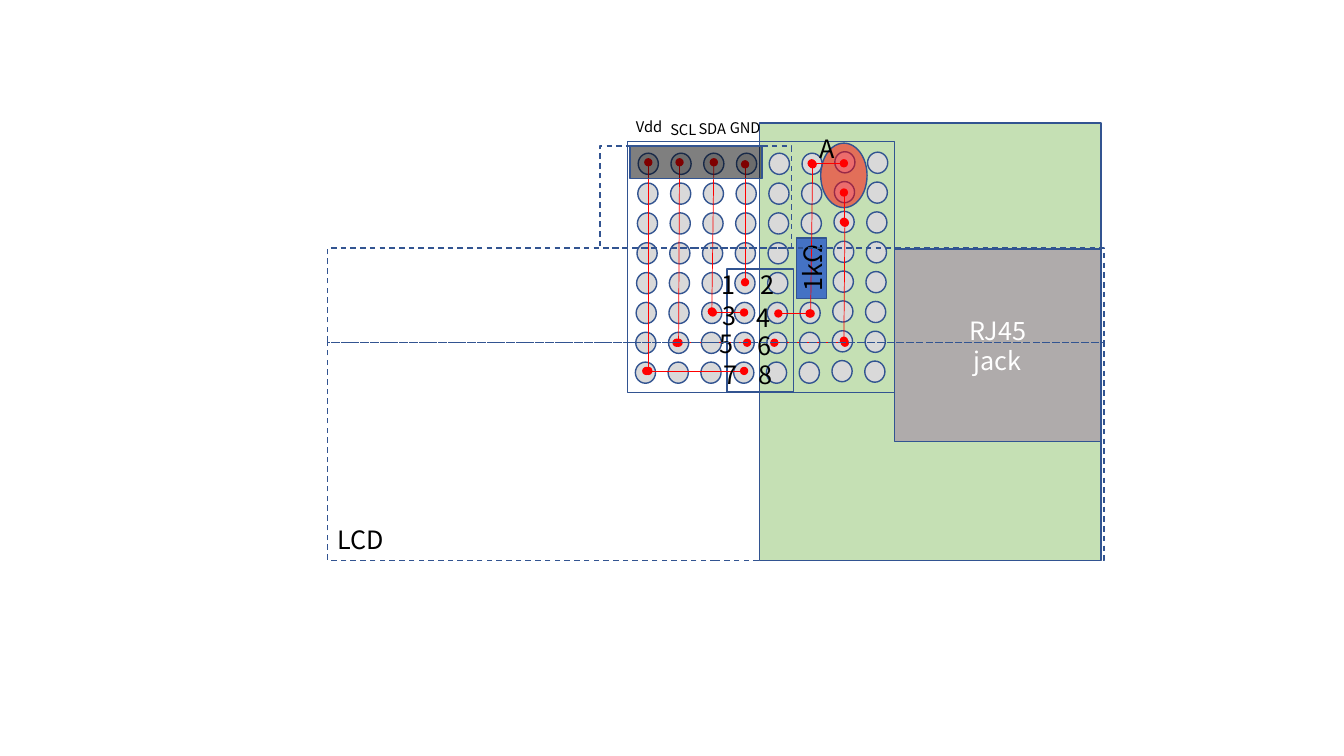
from pptx import Presentation
from pptx.dml.color import RGBColor
from pptx.enum.dml import MSO_LINE
from pptx.enum.shapes import MSO_CONNECTOR, MSO_SHAPE
from pptx.enum.text import MSO_ANCHOR, MSO_AUTO_SIZE, PP_ALIGN
from pptx.oxml.ns import qn
from pptx.util import Inches, Pt
from lxml import etree

RECT, OVAL = MSO_SHAPE.RECTANGLE, MSO_SHAPE.OVAL
STRAIGHT, DASH = MSO_CONNECTOR.STRAIGHT, MSO_LINE.DASH
FIT, MIDDLE, CENTER = MSO_AUTO_SIZE.SHAPE_TO_FIT_TEXT, MSO_ANCHOR.MIDDLE, PP_ALIGN.CENTER

# Content: boxes are left, top, width, height; wires are x, y to x, y
FONT = "Noto Sans CJK JP"
NAVY, RED, BLACK, WHITE = "325491", "FF0000", "000000", "FFFFFF"
GREEN, BLUE, JACK_GREY, HOLE_GREY = "C5E0B4", "4472C4", "AFABAB", "D9D9D9"

MODULE_BOARD = (7.53, 1.22, 3.39, 4.34)
HOLE_BOARD = (6.22, 1.4, 2.65, 2.49)
PIN_SOCKET = (7.21, 2.67, 0.66, 1.22)
RESISTOR = (7.9, 2.36, 0.3, 0.6)
JUMPER = (8.14, 1.42, 0.46, 0.64)
RJ45_JACK = (8.87, 2.47, 2.05, 1.91)
PIN_HEADER = (6.25, 1.45, 1.31, 0.32)
LCD_PARTS = [(3.25, 3.4, 7.7, 2.16), (3.25, 2.46, 7.7, 0.94), (5.95, 1.45, 1.9, 1.01)]

HOLE_START, HOLE_PITCH, HOLE_SIZE = (6.33, 1.52), (0.325, 0.296), (0.2, 0.21)
ROW_SHIFT = -0.004
COLUMN_LIFT = {6: 0.015, 7: 0.01}
ROWS = COLUMNS = 8
COVERED_HOLES = {(3, 5), (4, 5)}

SIGNAL_WIRES = [
    (7.39, 2.8, 7.39, 1.63), (7.06, 3.09, 7.08, 1.61), (6.73, 3.4, 6.74, 1.61),
    (6.43, 3.68, 6.43, 1.61), (6.41, 3.68, 7.38, 3.68), (6.71, 3.4, 7.41, 3.4),
    (7.07, 3.1, 7.38, 3.1), (7.72, 3.11, 8.03, 3.11), (7.68, 3.4, 8.38, 3.4),
    (8.37, 3.38, 8.38, 2.21),
]
RESISTOR_WIRE = (8.04, 3.11, 8.06, 1.63)
JUMPER_WIRES = [(8.05, 1.62, 8.37, 1.62), (8.37, 1.91, 8.37, 2.2)]

SIGNAL_NAMES = [("GND", 7.14, 1.13), ("SDA", 6.83, 1.14), ("SCL", 6.55, 1.15), ("Vdd", 6.21, 1.12)]
PIN_NUMBERS = [
    ("8", (7.44, 3.52, 0.18, 0.4)), ("7", (7.09, 3.52, 0.18, 0.4)),
    ("1", (7.06, 2.62, 0.2, 0.4)), ("2", (7.46, 2.62, 0.18, 0.4)),
    ("3", (7.08, 2.93, 0.18, 0.4)), ("4", (7.5, 2.95, 0.07, 0.4)),
    ("5", (7.12, 3.21, 0.11, 0.42)), ("6", (7.43, 3.23, 0.18, 0.4)),
]
PART_NAMES = [("LCD", (3.25, 5.15, 1.51, 0.4)), ("A", (8.03, 1.27, 0.3, 0.4))]

deck = Presentation()
deck.slide_width, deck.slide_height = Inches(13.33), Inches(7.5)
page = deck.slides.add_slide(deck.slide_layouts[6])


def color(value):
    return RGBColor.from_string(value)


def inches(values):
    return [Inches(value) for value in values]


def add_part(kind, box, fill=None, alpha=None, width=1, dash=None):
    part = page.shapes.add_shape(kind, *inches(box))
    part.shadow.inherit = False
    part.line.color.rgb = color(NAVY)
    part.line.width = Pt(width)
    if dash:
        part.line.dash_style = dash
    if fill is None:
        part.fill.background()
        return part
    part.fill.solid()
    part.fill.fore_color.rgb = color(fill)
    if alpha:
        tone = part.fill._xPr.find(qn("a:solidFill"))[0]
        etree.SubElement(tone, qn("a:alpha")).set("val", str(alpha * 1000))
    return part


def add_wire(ends):
    wire = page.shapes.add_connector(STRAIGHT, *inches(ends))
    wire.line.color.rgb = color(RED)
    wire.line.width = Pt(0.5)
    outline = wire.line._get_or_add_ln()
    for end in ("a:headEnd", "a:tailEnd"):
        etree.SubElement(outline, qn(end)).set("type", "oval")
    etree.SubElement(wire._element.spPr, qn("a:effectLst"))


def write(frame, text, size=18, ink=BLACK, align=None):
    frame.word_wrap = True
    for index, words in enumerate(text.split("\n")):
        para = frame.add_paragraph() if index else frame.paragraphs[0]
        para.alignment = align
        span = para.add_run()
        span.text = words
        span.font.size, span.font.name = Pt(size), FONT
        span.font.color.rgb = color(ink)
        etree.SubElement(span.font._element, qn("a:ea")).set("typeface", FONT)


def add_label(text, box, rotation=0, **style):
    label = page.shapes.add_textbox(*inches(box))
    label.rotation = rotation
    write(label.text_frame, text, **style)
    label.text_frame.auto_size = FIT


# Boards and the grid of holes
add_part(RECT, MODULE_BOARD, GREEN)
add_part(RECT, HOLE_BOARD, width=0.25)
for row in range(ROWS):
    for column in range(COLUMNS):
        if (row, column) not in COVERED_HOLES:
            left = HOLE_START[0] + column * HOLE_PITCH[0] + row * ROW_SHIFT
            top = HOLE_START[1] + row * HOLE_PITCH[1] - COLUMN_LIFT.get(column, 0)
            add_part(OVAL, (left, top, *HOLE_SIZE), HOLE_GREY)

# Socket, wires and resistor
add_part(RECT, PIN_SOCKET)
for ends in SIGNAL_WIRES:
    add_wire(ends)
add_part(RECT, RESISTOR, BLUE)
add_wire(RESISTOR_WIRE)

# Pin and signal labels
for name, left, top in SIGNAL_NAMES:
    add_label(name, (left, top, 0.94, 0.29), size=10.5)
for number, box in PIN_NUMBERS:
    add_label(number, box)
add_label("1kΩ", (7.68, 2.41, 0.76, 0.4), rotation=270)

# Jumper, jack, header and LCD outline
add_part(OVAL, JUMPER, RED, alpha=50)
for ends in JUMPER_WIRES:
    add_wire(ends)
jack = add_part(RECT, RJ45_JACK, JACK_GREY)
jack.text_frame.vertical_anchor = MIDDLE
write(jack.text_frame, "RJ45\njack", ink=WHITE, align=CENTER)
add_part(RECT, PIN_HEADER, BLACK, alpha=50)
for box in LCD_PARTS:
    add_part(RECT, box, dash=DASH)
for name, box in PART_NAMES:
    add_label(name, box)

deck.save("out.pptx")
